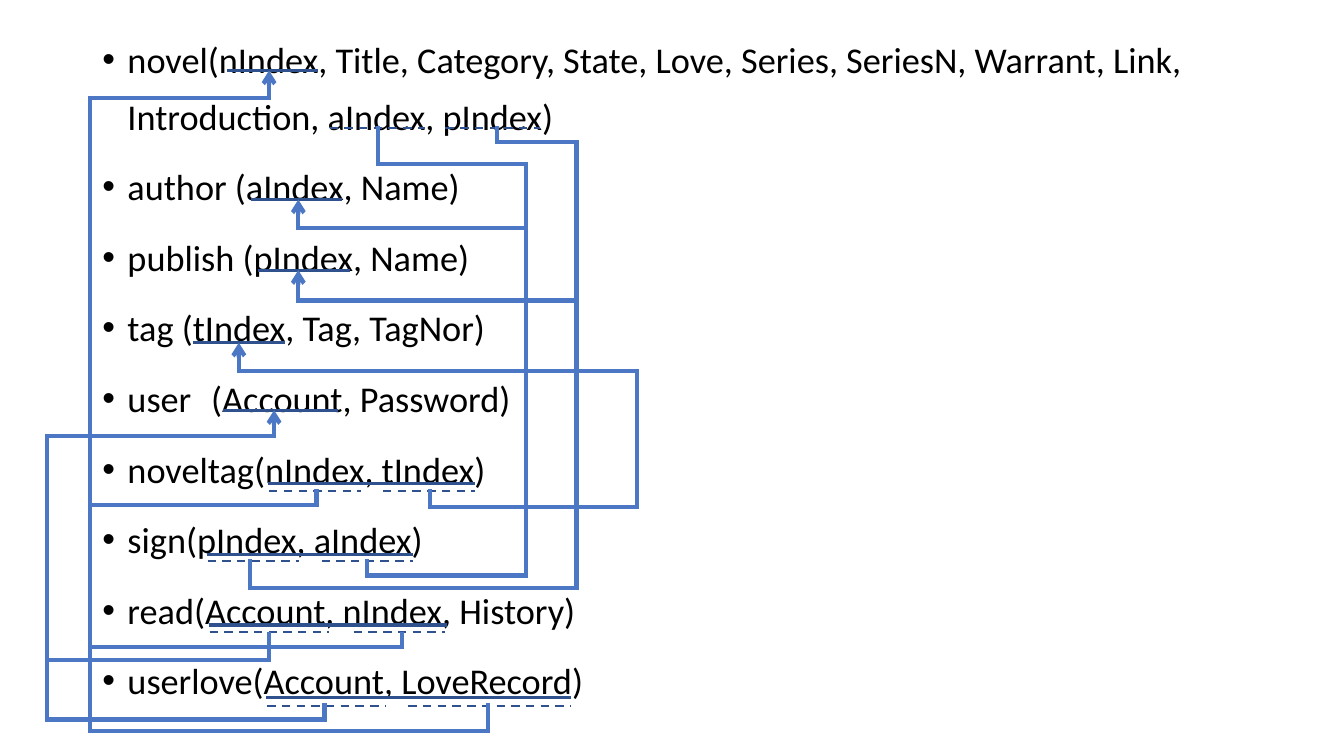
from dataclasses import dataclass
from itertools import pairwise
from typing import Any

from lxml.etree import SubElement
from pptx import Presentation
from pptx.dml.color import RGBColor as RGB
from pptx.enum.dml import MSO_LINE_DASH_STYLE as Dash
from pptx.enum.shapes import MSO_CONNECTOR_TYPE as Conn
from pptx.enum.text import MSO_ANCHOR as Anchor
from pptx.oxml.ns import qn
from pptx.util import Pt

Point = tuple[float, float]
Span = tuple[float, float]


@dataclass(frozen=True)
class Theme:
    """Colours, type and line widths."""
    text: RGB = RGB(0, 0, 0)
    key: RGB = RGB.from_string("2F528F")
    wire: RGB = RGB.from_string("4C77C4")
    font: str = "Calibri"
    size: float = 25.9
    key_width: float = 2.25
    foreign_width: float = 1.5
    wire_width: float = 3


@dataclass(frozen=True)
class Relation:
    """A table schema with its primary key and foreign key underlines."""
    text: str
    primary: Span
    primary_y: float
    foreign: tuple[Span, ...] = ()
    foreign_y: float = 0


@dataclass(frozen=True)
class Route:
    """A reference drawn as a chain of straight segments."""
    points: tuple[Point, ...]
    arrow: bool = True


THEME = Theme()
NOVEL_X, ACCOUNT_X, AUTHOR_X, PUBLISH_X, TAG_X = 64.4, 33.8, 375.8, 411.8, 455

RELATIONS = (
    Relation("novel(nIndex, Title, Category, State, Love, Series, SeriesN, Warrant, Link, "
             "Introduction, aIndex, pIndex)",
             (162, 227.5), 50.4, ((235.4, 303.8), (318.2, 385.9)), 91.4),
    Relation("author (aIndex, Name)", (179.3, 244.1), 142.6),
    Relation("publish (pIndex, Name)", (184.3, 249.8), 193),
    Relation("tag (tIndex, Tag, TagNor)", (138.2, 203.8), 244.8),
    Relation("user\t (Account, Password)", (159.1, 241.2), 293),
    Relation("noveltag(nIndex, tIndex)",
             (191.5, 339.1), 345.6, ((192.2, 257.8), (273.6, 339.1)), 350.6),
    Relation("sign(pIndex, aIndex)",
             (147.6, 295.2), 396, ((148.3, 213.8), (229.7, 295.2)), 401),
    Relation("read(Account, nIndex, History)",
             (149, 319), 446.4, ((149.8, 234.7), (252.7, 318.2)), 451.4),
    Relation("userlove(Account, LoveRecord)",
             (190.1, 408.2), 498.2, ((190.8, 275.8), (291.6, 407.5)), 504),
)

ROUTES = (
    Route(((348.5, 504), (348.5, 522), (NOVEL_X, 522), (NOVEL_X, 70.2),
           (192.2, 70.2), (192.2, 50.4))),
    Route(((226.1, 350.6), (226.1, 361), (NOVEL_X, 361)), arrow=False),
    Route(((287.3, 452.9), (287.3, 462.2), (NOVEL_X, 462.2)), arrow=False),
    Route(((231.8, 504), (231.8, 514), (ACCOUNT_X, 514), (ACCOUNT_X, 311.4),
           (195.8, 311.4), (195.8, 293))),
    Route(((192.2, 452.9), (192.2, 471.4), (ACCOUNT_X, 471.4)), arrow=False),
    Route(((262.1, 401), (262.1, 411.1), (AUTHOR_X, 411.1), (AUTHOR_X, 117),
           (270, 117), (270, 91.4)), arrow=False),
    Route(((AUTHOR_X, 162.7), (213.1, 162.7), (213.1, 142.6))),
    Route(((178.6, 401), (178.6, 420.2), (PUBLISH_X, 420.2), (PUBLISH_X, 101.2),
           (355, 101.2), (355, 91.4)), arrow=False),
    Route(((PUBLISH_X, 214.6), (213.1, 214.6), (213.1, 193))),
    Route(((307.4, 350.6), (307.4, 362.2), (TAG_X, 362.2), (TAG_X, 265.2),
           (170.6, 265.2), (170.6, 244.8))),
)


def apply(target: Any, values: dict[str, Any]) -> None:
    """Set each named value on the target."""
    for name, value in values.items():
        setattr(target, name, value)


def add_schema(s: Any, relations: tuple[Relation, ...]) -> None:
    """Write the relations as a bulleted list."""
    sp = s.shapes.add_textbox(Pt(66), Pt(13.7), Pt(828), Pt(496))
    tf = sp.text_frame
    apply(tf, {"word_wrap": True, "vertical_anchor": Anchor.TOP})
    for i, relation in enumerate(relations):
        p = tf.paragraphs[0] if i == 0 else tf.add_paragraph()
        apply(p, {"line_spacing": 1.3, "space_before": Pt(10 if i else 0)})
        props = p._p.get_or_add_pPr()
        props.set("marL", str(Pt(18)))
        props.set("indent", str(Pt(-18)))
        SubElement(props, qn("a:buFont"), typeface="Arial")
        SubElement(props, qn("a:buChar"), char="•")
        r = p.add_run()
        r.text = relation.text
        apply(r.font, {"name": THEME.font, "size": Pt(THEME.size)})
        r.font.color.rgb = THEME.text


def add_line(s: Any, start: Point, end: Point, color: RGB, width: float,
             dash: Dash | None = None) -> Any:
    """Draw a straight line and return its outline element."""
    c = s.shapes.add_connector(Conn.STRAIGHT, *(Pt(v) for v in (*start, *end)))
    c.line.fill.solid()
    c.line.fill.fore_color.rgb = color
    apply(c.line, {"width": Pt(width), "dash_style": dash})
    props = c._element.spPr
    SubElement(props, qn("a:effectLst"))
    return props.find(qn("a:ln"))


def add_underlines(s: Any, relation: Relation) -> None:
    """Underline the primary key solid and the foreign keys dashed."""
    y = relation.primary_y
    left, right = relation.primary
    add_line(s, (left, y), (right, y), THEME.key, THEME.key_width)
    y = relation.foreign_y
    for left, right in relation.foreign:
        add_line(s, (left, y), (right, y), THEME.key, THEME.foreign_width, Dash.DASH)


def add_route(s: Any, route: Route) -> None:
    """Draw a reference, with an arrow on its last segment if wanted."""
    for start, end in pairwise(route.points):
        outline = add_line(s, start, end, THEME.wire, THEME.wire_width)
        outline.set("cap", "sq")
    if route.arrow:
        outline.set("cap", "flat")
        SubElement(outline, qn("a:tailEnd"), type="arrow")


def main() -> None:
    """Build and save the slide."""
    prs = Presentation()
    apply(prs, {"slide_width": Pt(960), "slide_height": Pt(540)})
    s = prs.slides.add_slide(prs.slide_layouts[6])
    add_schema(s, RELATIONS)
    for relation in RELATIONS:
        add_underlines(s, relation)
    for route in ROUTES:
        add_route(s, route)
    prs.save("out.pptx")


if __name__ == "__main__":
    main()
